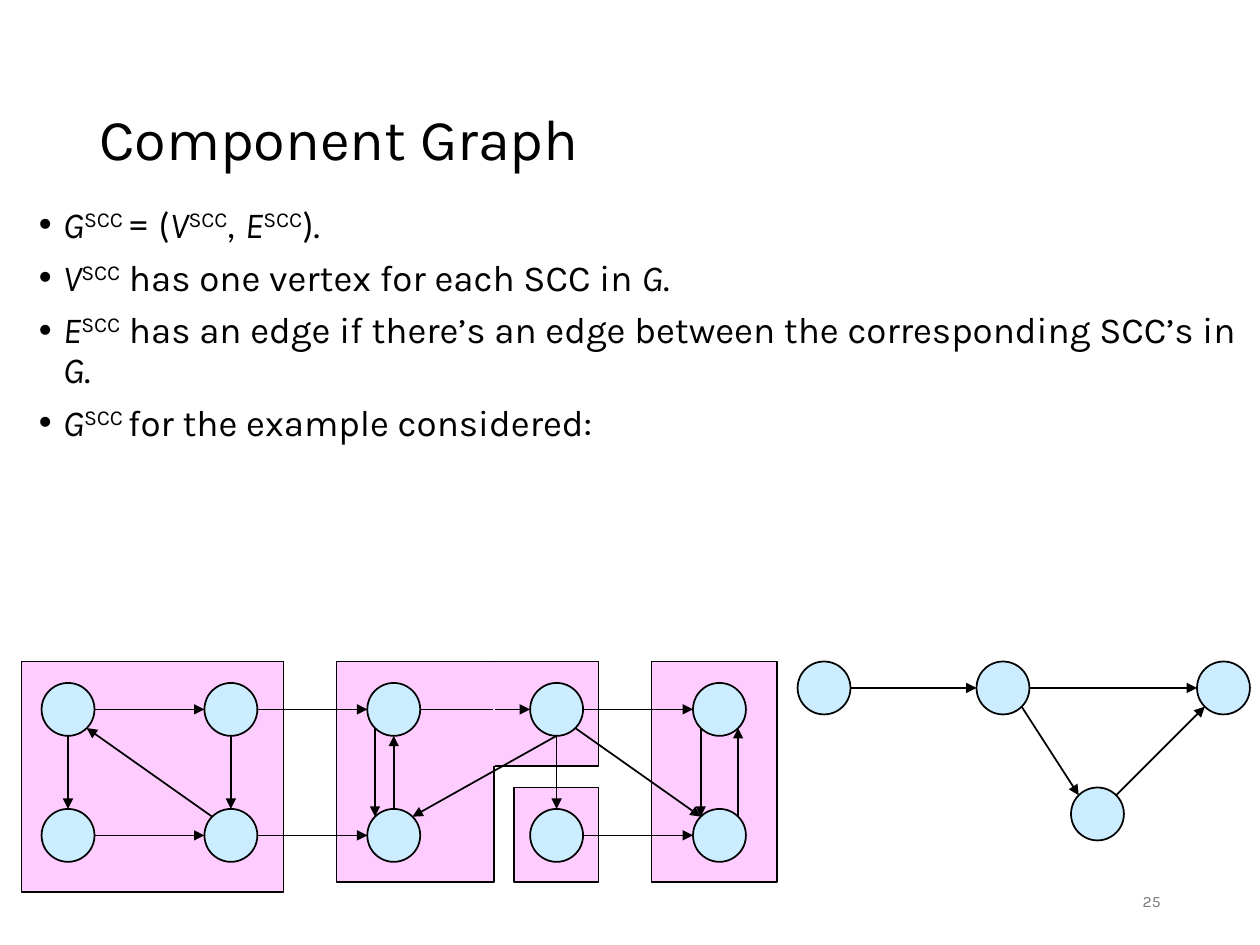
from math import cos, radians, sin

from lxml.etree import SubElement
from pptx import Presentation
from pptx.dml.color import RGBColor
from pptx.enum.shapes import MSO_CONNECTOR, MSO_SHAPE
from pptx.enum.text import MSO_ANCHOR, PP_ALIGN
from pptx.oxml.ns import qn
from pptx.util import Inches, Pt

COLORS = {"text": "000000", "number": "797979", "node": "CCECFF",
          "component": "FFCCFF", "line": "000000"}
NODE = 0.42
ANGLES = {"E": 0, "SE": 45, "S": 90, "SW": 135, "W": 180, "NW": 225, "N": 270, "NE": 315}

SCC = ("SCC", "sup")
BULLETS = [
    [("G", "italic"), ("SCC ", "sup"), ("= ", "", "Lato"), ("(", "", "Calibri"),
     ("V", "italic"), SCC, (", ", "italic", "Calibri"), ("E", "italic"), SCC,
     (")", "", "Calibri"), (".", "")],
    [("V", "italic"), SCC, (" has one vertex for each SCC in ", ""),
     ("G", "italic"), (".", "")],
    [("E", "italic"), SCC,
     (" has an edge if there’s an edge between the corresponding SCC’s in ", ""),
     ("G", "italic"), (".", "")],
    [("G", "italic"), ("SCC ", "sup"), ("for the example considered:", "")],
]

COMPONENTS = [(3.91, 1, 0.67, 0.75), (5, 0, 1, 1.75), (3.75, 0, 0.83, 0.83),
              (2.5, 0, 1.25, 1.75), (0, 0, 2.08, 1.83)]
EXAMPLE_EDGES = [
    "a E b W", "a S f N", "b S g N", "f E g W", "g NW a SE", "c E d W",
    "d S h NE", "h N c S", "c SW h NW", "d S i N", "e SW j NW", "j NE e SE",
    "d E e W", "d SE j NW", "i E j W", "b E c W", "g E h W"]
SCC_NODES = {"a": (0, 0), "b": (1.42, 0), "c": (3.17, 0), "d": (2.17, 1)}
SCC_EDGES = ["a E b W", "b E c W", "b SE d NW", "d NE c SW"]


def color(name):
    """Return the named palette colour."""
    return RGBColor.from_string(COLORS[name])


def add_frame(s, box, anchor=MSO_ANCHOR.TOP):
    """Add a wrapping text box and return its text frame."""
    tf = s.shapes.add_textbox(*map(Inches, box)).text_frame
    tf.word_wrap = True
    tf.vertical_anchor = anchor
    return tf


def add_run(p, text, size, style="", font="Karla", fill="text"):
    """Append a run that is plain, italic or superscript."""
    r = p.add_run()
    r.text = text
    r.font.name = font
    r.font.size = Pt(size)
    r.font.color.rgb = color(fill)
    r.font.italic = style == "italic"
    if style == "sup":
        r.font._element.set("baseline", "30000")


def add_title(s, box):
    """Place the slide title."""
    p = add_frame(s, box, MSO_ANCHOR.MIDDLE).paragraphs[0]
    p.line_spacing = 0.9
    add_run(p, "Component Graph", 33)


def add_bullets(s, box):
    """Place the bulleted definitions."""
    tf = add_frame(s, box)
    for i, runs in enumerate(BULLETS):
        p = tf.add_paragraph() if i else tf.paragraphs[0]
        p.line_spacing = 0.9
        p.space_before = Pt(7.5)
        pPr = p._p.get_or_add_pPr()
        pPr.set("marL", str(Inches(0.19)))
        pPr.set("indent", str(-Inches(0.19)))
        SubElement(pPr, qn("a:buFont"), typeface="Arial")
        SubElement(pPr, qn("a:buChar"), char="•")
        for text, *look in runs:
            add_run(p, text, 21, *look)


def add_number(s, box):
    """Place the slide number."""
    p = add_frame(s, box, MSO_ANCHOR.MIDDLE).paragraphs[0]
    p.alignment = PP_ALIGN.RIGHT
    add_run(p, "25", 9, fill="number")


def add_block(shapes, kind, box, fill):
    """Add a filled, outlined preset shape."""
    sp = shapes.add_shape(kind, *map(Inches, box))
    sp.shadow.inherit = False
    sp.fill.solid()
    sp.fill.fore_color.rgb = color(fill)
    sp.line.color.rgb = color("line")
    sp.line.width = Pt(1)


def add_line(shapes, start, end, fill="line", arrow=True):
    """Add a straight line, with an arrowhead at its end if wanted."""
    c = shapes.add_connector(MSO_CONNECTOR.STRAIGHT, *map(Inches, (*start, *end)))
    c.line.color.rgb = color(fill)
    c.line.width = Pt(1)
    if arrow:
        SubElement(c.line._get_or_add_ln(), qn("a:tailEnd"), type="triangle")
    SubElement(c._element.spPr, qn("a:effectLst"))


def rim_point(node, side):
    """Return the point on a node's rim at a compass side."""
    angle = radians(ANGLES[side])
    x, y = node
    return x + NODE / 2 * (1 + cos(angle)), y + NODE / 2 * (1 + sin(angle))


def add_graph(shapes, left, top, nodes, edges):
    """Draw nodes and the directed edges between their rims."""
    placed = {name: (left + x, top + y) for name, (x, y) in nodes.items()}
    for x, y in placed.values():
        add_block(shapes, MSO_SHAPE.OVAL, (x, y, NODE, NODE), "node")
    for edge in edges:
        a, a_side, b, b_side = edge.split()
        add_line(shapes, rim_point(placed[a], a_side), rim_point(placed[b], b_side))


def add_example(s, left, top):
    """Draw the example graph over its strongly connected components."""
    shapes = s.shapes.add_group_shape().shapes
    for x, y, w, h in COMPONENTS:
        add_block(shapes, MSO_SHAPE.RECTANGLE, (left + x, top + y, w, h), "component")
    pitch = 5.17 / 4
    nodes = {name: (0.16 + i % 5 * pitch, 0.17 + i // 5)
             for i, name in enumerate("abcdefghij")}
    add_graph(shapes, left, top, nodes, EXAMPLE_EDGES)
    seam = left + 3.75
    add_line(shapes, (seam, top), (seam, top + 0.83), "component", arrow=False)


def add_component_graph(s, left, top):
    """Draw the graph with one node per component."""
    add_graph(s.shapes.add_group_shape().shapes, left, top, SCC_NODES, SCC_EDGES)


def main():
    """Build and save the slide."""
    prs = Presentation()
    prs.slide_width, prs.slide_height = Inches(10), Inches(7.5)
    s = prs.slides.add_slide(prs.slide_layouts[6])
    add_title(s, (0.69, 0.4, 8.62, 1.45))
    add_bullets(s, (0.21, 1.59, 9.79, 5.6))
    add_number(s, (7.06, 6.95, 2.25, 0.4))
    add_component_graph(s, 6.33, 5.25)
    add_example(s, 0.17, 5.25)
    prs.save("out.pptx")


if __name__ == "__main__":
    main()
